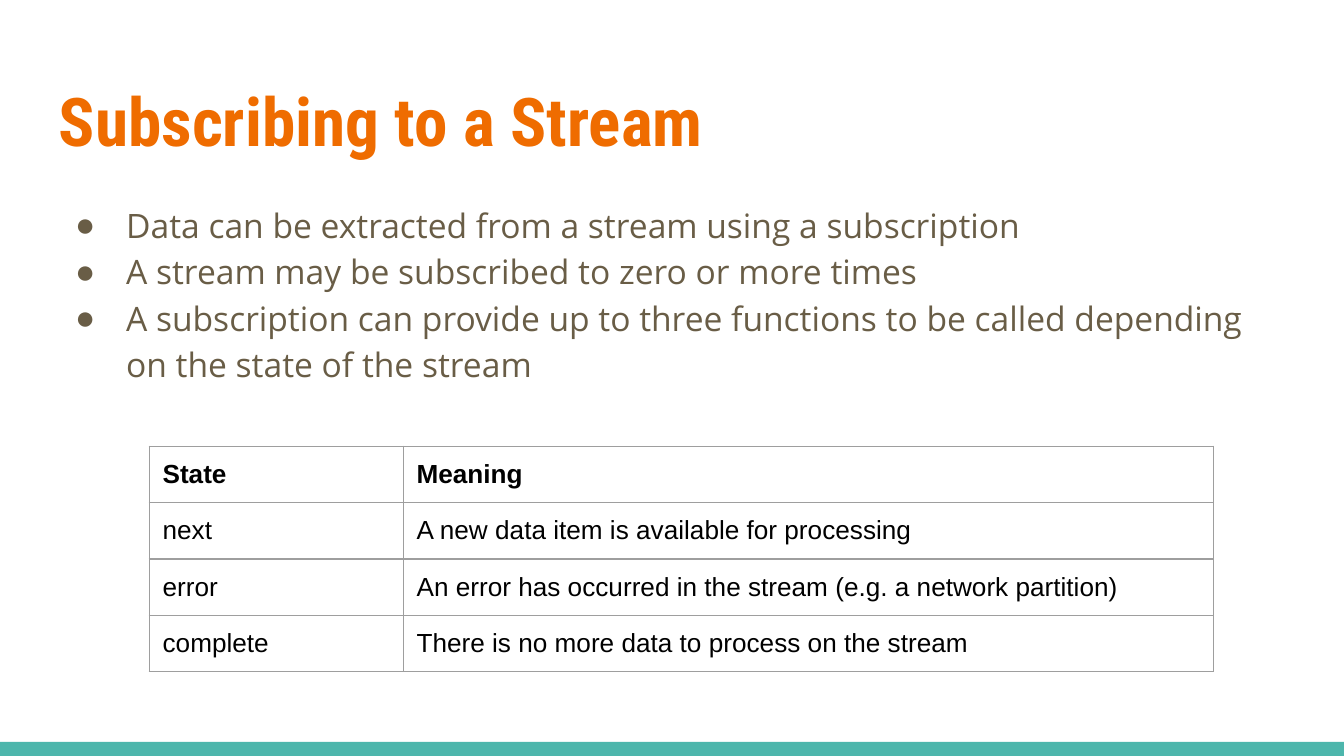
import lxml.etree
import pptx
import pptx.dml.color
import pptx.enum.shapes
import pptx.oxml.ns
import pptx.util

Inches = pptx.util.Inches
WHITE = pptx.dml.color.RGBColor(0xFF, 0xFF, 0xFF)
BLACK = pptx.dml.color.RGBColor(0x00, 0x00, 0x00)
TEAL = pptx.dml.color.RGBColor(0x4D, 0xB6, 0xAC)
ORANGE = pptx.dml.color.RGBColor(0xEF, 0x6C, 0x00)
BROWN = pptx.dml.color.RGBColor(0x69, 0x5D, 0x46)
GRAY = pptx.dml.color.RGBColor(0x9E, 0x9E, 0x9E)

BULLETS = [
    "Data can be extracted from a stream using a subscription",
    "A stream may be subscribed to zero or more times",
    "A subscription can provide up to three functions to be called "
    "depending on the state of the stream",
]
STATES = [
    ("State", "Meaning"),
    ("next", "A new data item is available for processing"),
    ("error", "An error has occurred in the stream (e.g. a network partition)"),
    ("complete", "There is no more data to process on the stream"),
]


def add_element(parent, tag, **attrs):
    return lxml.etree.SubElement(parent, pptx.oxml.ns.qn(tag), attrs)


def write(p, text, font="Arial", size=14, color=BLACK, bold=False):
    r = p.add_run()
    r.text = text
    r.font.name = font
    r.font.size = pptx.util.Pt(size)
    r.font.color.rgb = color
    r.font.bold = bold


class Deck:
    heading = dict(font="Roboto Condensed", size=36, color=ORANGE, bold=True)
    body = dict(font="Open Sans", size=18, color=BROWN)

    def __init__(self, width, height):
        self.prs = pptx.Presentation()
        self.prs.slide_width = Inches(width)
        self.prs.slide_height = Inches(height)
        self.s = self.prs.slides.add_slide(self.prs.slide_layouts[6])
        self.s.background.fill.solid()
        self.s.background.fill.fore_color.rgb = WHITE

    def set_margins(self, box, bottom=0.1):
        box.margin_left = box.margin_right = box.margin_top = Inches(0.1)
        box.margin_bottom = Inches(bottom)

    def bar(self, x, y, w, h, color):
        sp = self.s.shapes.add_shape(
            pptx.enum.shapes.MSO_SHAPE.RECTANGLE,
            Inches(x), Inches(y), Inches(w), Inches(h))
        sp.shadow.inherit = False
        sp.fill.solid()
        sp.fill.fore_color.rgb = color
        sp.line.fill.background()

    def text_frame(self, x, y, w, h):
        sp = self.s.shapes.add_textbox(Inches(x), Inches(y), Inches(w), Inches(h))
        tf = sp.text_frame
        tf.word_wrap = True
        self.set_margins(tf)
        return tf

    def title(self, text, x, y, w, h):
        tf = self.text_frame(x, y, w, h)
        write(tf.paragraphs[0], text, **self.heading)

    def bullets(self, items, x, y, w, h):
        tf = self.text_frame(x, y, w, h)
        for i, item in enumerate(items):
            p = tf.add_paragraph() if i else tf.paragraphs[0]
            pPr = p._p.get_or_add_pPr()
            pPr.set("marL", str(Inches(0.5)))
            pPr.set("indent", str(Inches(-0.38)))
            clr = add_element(pPr, "a:buClr")
            add_element(clr, "a:srgbClr", val=str(BROWN))
            add_element(pPr, "a:buFont", typeface="Arial")
            add_element(pPr, "a:buChar", char="●")
            p.line_spacing = 1.15
            write(p, item, **self.body)

    def borders(self, cell, color, width):
        tcPr = cell._tc.get_or_add_tcPr()
        for side in "LRTB":
            ln = add_element(tcPr, f"a:ln{side}", w=str(pptx.util.Pt(width)))
            fill = add_element(ln, "a:solidFill")
            add_element(fill, "a:srgbClr", val=str(color))

    def table(self, rows, x, y, widths, row_height):
        frame = self.s.shapes.add_table(
            len(rows), len(widths), Inches(x), Inches(y),
            Inches(sum(widths)), Inches(row_height * len(rows)))
        table = frame.table
        for column, width in zip(table.columns, widths):
            column.width = Inches(width)
        for i, row in enumerate(rows):
            table.rows[i].height = Inches(row_height)
            for j, text in enumerate(row):
                cell = table.cell(i, j)
                self.set_margins(cell, bottom=0.08)
                self.borders(cell, GRAY, 0.75)
                cell.fill.background()
                write(cell.text_frame.paragraphs[0], text, bold=i == 0)


def main():
    deck = Deck(10, 10 * 9 / 16)
    deck.bar(0, 5.52, 10, 0.11, TEAL)
    deck.title("Subscribing to a Stream", 0.34, 0.49, 9.32, 0.77)
    deck.bullets(BULLETS, 0.34, 1.38, 9.32, 3.61)
    deck.table(STATES, 1.11, 3.32, [1.89, 6.03], 0.42)
    deck.prs.save("out.pptx")


if __name__ == "__main__":
    main()
